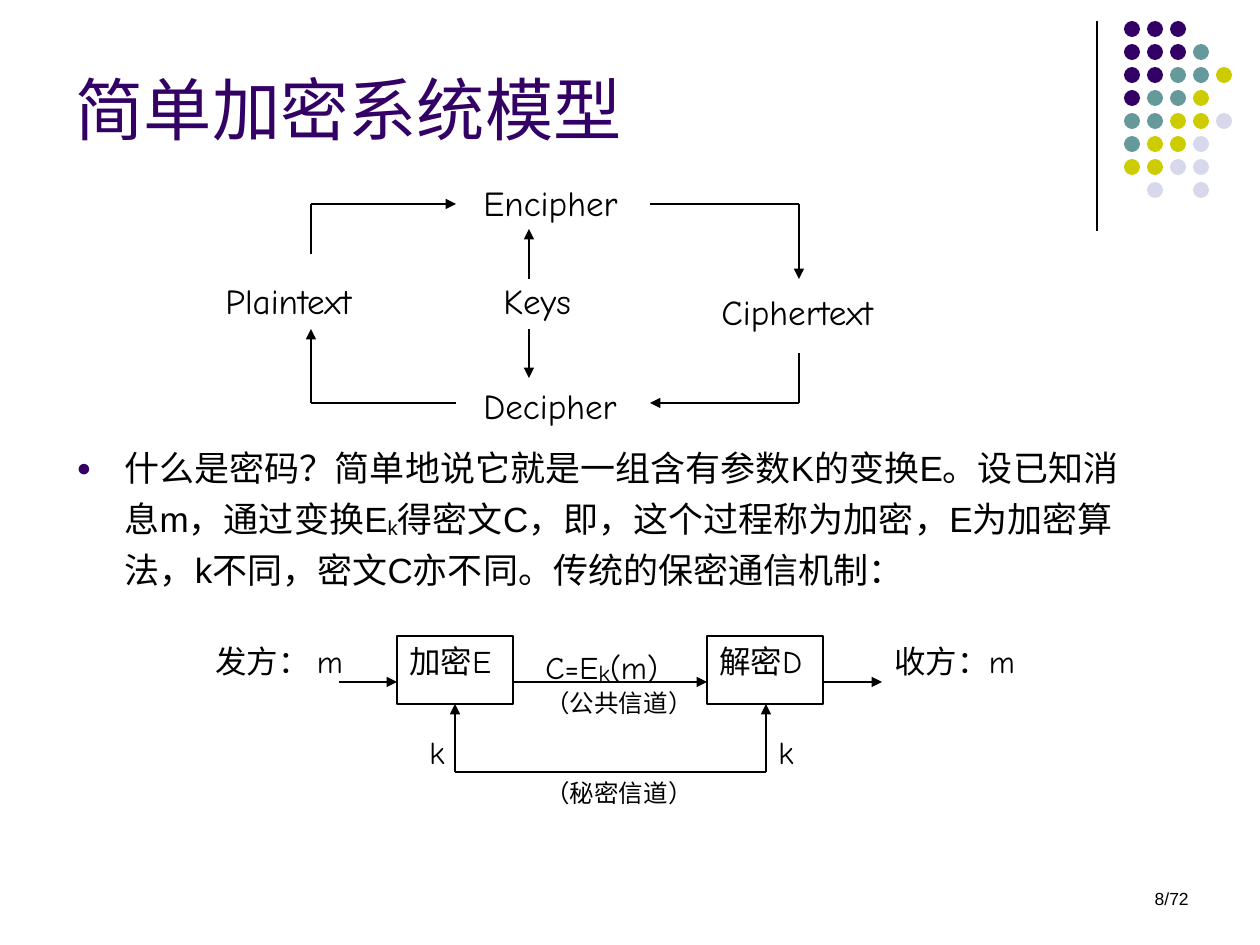
from collections import namedtuple
from pptx import Presentation
from pptx.dml.color import RGBColor
from pptx.enum.shapes import MSO_CONNECTOR, MSO_SHAPE
from pptx.enum.text import MSO_ANCHOR, PP_ALIGN
from pptx.oxml.ns import qn
from pptx.util import Pt
from lxml import etree

RECT, OVAL, LINE = MSO_SHAPE.RECTANGLE, MSO_SHAPE.OVAL, MSO_CONNECTOR.STRAIGHT
LEFT, RIGHT, JUSTIFY = PP_ALIGN.LEFT, PP_ALIGN.RIGHT, PP_ALIGN.JUSTIFY
TOP, BOTTOM = MSO_ANCHOR.TOP, MSO_ANCHOR.BOTTOM
EMU_PER_PX = 914400 / 126

Box = namedtuple("Box", "x y w h")


class Theme:
    ink, paper, purple = "000000", "FFFFFF", "330066"
    dots = {"P": purple, "T": "669999", "Y": "CCCC00", "L": "D8D8EC"}
    title_font, body_font, label_font = "Roboto", "Arial", "Comic Neue"
    title, body, cycle, channel, subscript, note, footer = 39, 20, 20, 18, 24, 14, 10
    line = 0.75


def px(value):
    return round(value * EMU_PER_PX)


def rgb(color):
    return RGBColor.from_string(color)


def place(shape, box):
    shape.left, shape.top, shape.width, shape.height = map(px, box)


def inside(region, x, y, w, h):
    return Box(region.x + x, region.y + y, w, h)


def style(span, size, font, color=Theme.ink, baseline=0):
    span.font.size = Pt(size)
    span.font.name = font
    span.font.color.rgb = rgb(color)
    if baseline:
        span.font._element.set("baseline", str(baseline * 1000))


def add_spans(para, spans, font):
    """Add (text, size, baseline percent) spans to a paragraph."""
    for text, size, baseline in spans:
        span = para.add_run()
        span.text = text
        style(span, size, font, baseline=baseline)


def add_label(page, box, spans, align=JUSTIFY, outlined=False):
    shape = page.shapes.add_shape(RECT, *map(px, box))
    shape.shadow.inherit = False
    shape.fill.solid()
    shape.fill.fore_color.rgb = rgb(Theme.paper)
    if outlined:
        shape.line.color.rgb = rgb(Theme.ink)
        shape.line.width = Pt(Theme.line)
    else:
        shape.line.fill.background()
    frame = shape.text_frame
    frame.word_wrap = True
    frame.vertical_anchor = TOP
    para = frame.paragraphs[0]
    para.alignment = align
    add_spans(para, spans, Theme.label_font)


def add_line(page, region, x1, y1, x2, y2, arrow=False):
    """Draw a line within the region; an arrow points at its second end."""
    line = page.shapes.add_connector(
        LINE, px(region.x + x1), px(region.y + y1), px(region.x + x2), px(region.y + y2))
    line.line.color.rgb = rgb(Theme.ink)
    line.line.width = Pt(Theme.line)
    if arrow:
        etree.SubElement(line.line._get_or_add_ln(), qn("a:tailEnd"), type="triangle")
    etree.SubElement(line._element.spPr, qn("a:effectLst"))


def add_ornament(page, region):
    # Rule beside a grid of coloured dots
    add_line(page, region, 0, 0, 0, region.h)
    pattern = ["PPP", "PPPT", "PPTTY", "PTTY", "TTYYL", "TYYL", "YYLL", " L L"]
    pitch, size = 23, 16
    for row, codes in enumerate(pattern):
        for column, code in enumerate(codes):
            if code == " ":
                continue
            box = inside(region, 27 + column * pitch, row * pitch, size, size)
            dot = page.shapes.add_shape(OVAL, *map(px, box))
            dot.shadow.inherit = False
            dot.fill.solid()
            dot.fill.fore_color.rgb = rgb(Theme.dots[code])
            dot.line.fill.background()


def add_title(page, box):
    title = page.shapes.title
    place(title, box)
    frame = title.text_frame
    frame.text = "简单加密系统模型"
    frame.vertical_anchor = BOTTOM
    frame.paragraphs[0].alignment = LEFT
    style(frame.paragraphs[0].runs[0], Theme.title, Theme.title_font, Theme.purple)


def add_body(page, box):
    body = page.placeholders[1]
    place(body, box)
    para = body.text_frame.paragraphs[0]
    para.line_spacing = 1.2
    para.space_before = Pt(5)
    add_spans(para, [
        ("什么是密码？简单地说它就是一组含有参数K的变换E。设已知消息m，通过变换E", Theme.body, 0),
        ("k", Theme.body, -10),
        ("得密文C，即，这个过程称为加密，E为加密算法，k不同，密文C亦不同。传统的保密通信机制：",
         Theme.body, 0)], Theme.body_font)
    # Hanging bullet
    props = para._p.get_or_add_pPr()
    props.set("marL", str(px(48)))
    props.set("indent", str(px(-48)))
    color = etree.SubElement(props, qn("a:buClr"))
    etree.SubElement(color, qn("a:srgbClr"), val=Theme.purple)
    etree.SubElement(props, qn("a:buSzPct"), val="70000")
    etree.SubElement(props, qn("a:buChar"), char="●")


def add_cycle(page, region):
    # Labels
    for text, x, y, w in [("Encipher", 258, 0, 204), ("Plaintext", 0, 98, 219),
                          ("Ciphertext", 496, 109, 208), ("Keys", 278, 98, 122),
                          ("Decipher", 258, 203, 204)]:
        add_label(page, inside(region, x, y, w, 54), [(text, Theme.cycle, 0)])
    # Loop around the labels and the key arrows
    left, middle, right, top, bottom = 98, 316, 586, 29, 228
    for ends in [(left, 79, left, top, False), (left, bottom, left, 154, True),
                 (middle, 104, middle, 54, True), (middle, 154, middle, 203, True),
                 (right, top, right, 104, True), (right, bottom, right, 178, False),
                 (left, top, 243, top, True), (437, top, right, top, False),
                 (left, bottom, 243, bottom, False), (right, bottom, 437, bottom, True)]:
        add_line(page, region, *ends)


def add_channel(page, region):
    size = Theme.channel
    # Message and key labels
    add_label(page, inside(region, 330, 0, 155, 50),
              [("C=E", size, 0), ("k", Theme.subscript, -8), ("(m)", size, 0)])
    for text, x, y, w in [("发方： m", 0, 5, 155), ("收方：m", 679, 5, 155),
                          ("k", 214, 96, 58), ("k", 563, 96, 58)]:
        add_label(page, inside(region, x, y, w, 68), [(text, size, 0)])
    # Channel names
    for text, y in [("（公共信道）", 51), ("（秘密信道）", 141)]:
        add_label(page, inside(region, 330, y, 176, 48), [(text, Theme.note, 0)])
    # Cipher boxes
    for text, x, align in [("加密E", 194, LEFT), ("解密D", 504, JUSTIFY)]:
        add_label(page, inside(region, x, 5, 116, 68), [(text, size, 0)], align, True)
    # Public path, then secret path
    for start, end in [(136, 194), (621, 679), (311, 504)]:
        add_line(page, region, start, 51, end, 51, True)
    add_line(page, region, 252, 141, 563, 141)
    for x in (252, 563):
        add_line(page, region, x, 141, x, 73, True)


def add_page_number(page, box):
    frame = page.shapes.add_textbox(*map(px, box)).text_frame
    frame.word_wrap = True
    para = frame.paragraphs[0]
    para.alignment = RIGHT
    add_spans(para, [("8/72", Theme.footer, 0)], Theme.body_font)


def main():
    deck = Presentation()
    deck.slide_width, deck.slide_height = px(1260), px(945)
    page = deck.slides.add_slide(deck.slide_layouts[1])
    add_ornament(page, Box(1097, 21, 0, 210))
    add_title(page, Box(63, 16, 1040, 139))
    add_body(page, Box(64, 432, 1090, 180))
    add_cycle(page, Box(213, 175, 704, 257))
    add_channel(page, Box(203, 631, 834, 189))
    add_page_number(page, Box(907, 882, 294, 63))
    deck.save("out.pptx")


if __name__ == "__main__":
    main()
